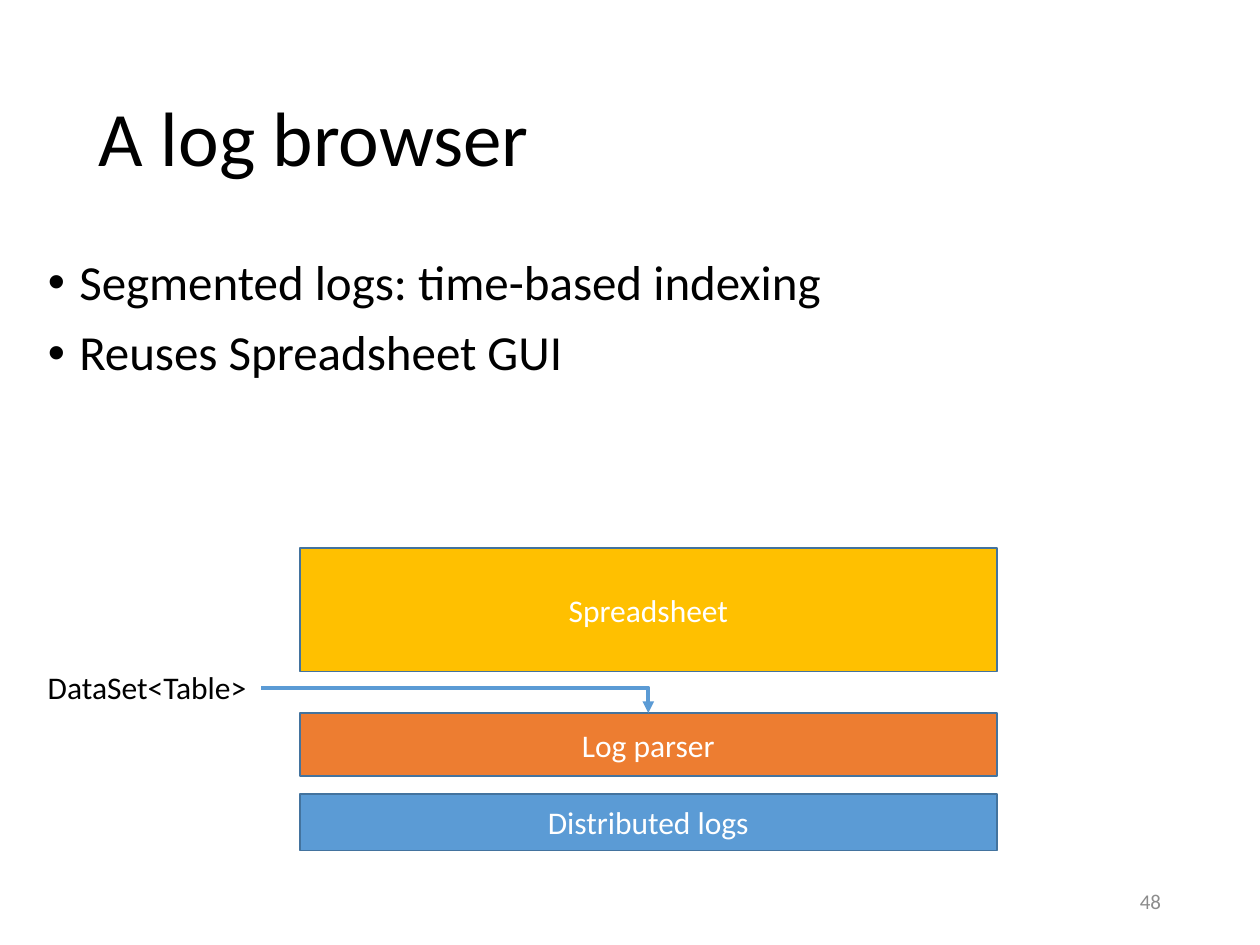
"""Build the log browser slide with its layered architecture diagram."""
from dataclasses import dataclass

from lxml import etree
from pptx import Presentation
from pptx.dml.color import RGBColor
from pptx.enum.shapes import MSO_CONNECTOR, MSO_SHAPE
from pptx.enum.text import MSO_ANCHOR, MSO_AUTO_SIZE, PP_ALIGN
from pptx.oxml.ns import qn
from pptx.shapes.autoshape import Shape
from pptx.slide import Slide
from pptx.util import Pt

ELBOW = MSO_CONNECTOR.ELBOW
RECTANGLE = MSO_SHAPE.RECTANGLE
TOP, MIDDLE = MSO_ANCHOR.TOP, MSO_ANCHOR.MIDDLE
FIT_SHAPE = MSO_AUTO_SIZE.SHAPE_TO_FIT_TEXT
LEFT, CENTER, RIGHT = PP_ALIGN.LEFT, PP_ALIGN.CENTER, PP_ALIGN.RIGHT


@dataclass(frozen=True)
class Theme:
    font: str = "Calibri"
    text: str = "000000"
    inverse: str = "FFFFFF"
    muted: str = "8C8C8C"
    blue: str = "5B9BD5"
    orange: str = "ED7D31"
    gold: str = "FFC000"
    outline: str = "43739E"
    title_size: float = 44
    body_size: float = 28
    label_size: float = 18
    number_size: float = 12


@dataclass(frozen=True)
class Box:
    left: float
    top: float
    width: float
    height: float


@dataclass(frozen=True)
class Layer:
    label: str
    top: float
    height: float
    fill: str


THEME = Theme()
LAYER_LEFT, LAYER_WIDTH = 171.4, 398.2
LAYERS = (
    Layer("Distributed logs", 453.6, 32.4, THEME.blue),
    Layer("Log parser", 407.5, 36, THEME.orange),
    Layer("Spreadsheet", 313.2, 70.6, THEME.gold),
)
BULLETS = ("Segmented logs: time-based indexing", "Reuses Spreadsheet GUI")
BULLET_INDENT = 18


def set_text(s: Shape, text: str, size: float, color: str,
             align: PP_ALIGN = LEFT, anchor: MSO_ANCHOR = MIDDLE) -> None:
    tf = s.text_frame
    tf.text = text
    tf.word_wrap = True
    tf.vertical_anchor = anchor
    for p in tf.paragraphs:
        p.alignment = align
        for r in p.runs:
            r.font.name = THEME.font
            r.font.size = Pt(size)
            r.font.color.rgb = RGBColor.from_string(color)


def add_text(slide: Slide, box: Box, text: str, size: float, color: str = THEME.text,
             align: PP_ALIGN = LEFT, anchor: MSO_ANCHOR = MIDDLE) -> Shape:
    s = slide.shapes.add_textbox(Pt(box.left), Pt(box.top), Pt(box.width), Pt(box.height))
    set_text(s, text, size, color, align, anchor)
    return s


def add_bullets(slide: Slide, box: Box, items: tuple[str, ...]) -> None:
    s = add_text(slide, box, "\n".join(items), THEME.body_size, anchor=TOP)
    for i, p in enumerate(s.text_frame.paragraphs):
        p.line_spacing = 0.9
        p.space_before = Pt(10 if i else 0)
        props = p._p.get_or_add_pPr()
        props.set("marL", str(Pt(BULLET_INDENT)))
        props.set("indent", str(-Pt(BULLET_INDENT)))
        etree.SubElement(props, qn("a:buFont")).set("typeface", "Arial")
        etree.SubElement(props, qn("a:buChar")).set("char", "•")


def add_layer(slide: Slide, layer: Layer) -> None:
    s = slide.shapes.add_shape(RECTANGLE, Pt(LAYER_LEFT), Pt(layer.top),
                               Pt(LAYER_WIDTH), Pt(layer.height))
    s.shadow.inherit = False
    s.fill.solid()
    s.fill.fore_color.rgb = RGBColor.from_string(layer.fill)
    s.line.color.rgb = RGBColor.from_string(THEME.outline)
    s.line.width = Pt(1)
    set_text(s, layer.label, THEME.label_size, THEME.inverse, CENTER)


def add_elbow_arrow(slide: Slide, x1: float, y1: float, x2: float, y2: float) -> None:
    s = slide.shapes.add_connector(ELBOW, Pt(x1), Pt(y1), Pt(x2), Pt(y2))
    s.line.color.rgb = RGBColor.from_string(THEME.blue)
    s.line.width = Pt(2.25)
    props = s._element.spPr
    props.find(qn("a:prstGeom")).set("prst", "bentConnector2")
    etree.SubElement(props.find(qn("a:ln")), qn("a:tailEnd")).set("type", "triangle")
    etree.SubElement(props, qn("a:effectLst"))


def main() -> None:
    prs = Presentation()
    prs.slide_width, prs.slide_height = Pt(720), Pt(540)
    slide = prs.slides.add_slide(prs.slide_layouts[6])

    title = add_text(slide, Box(49.5, 28.8, 621, 104.4), "A log browser", THEME.title_size)
    title.text_frame.paragraphs[0].line_spacing = 0.9
    add_bullets(slide, Box(20.2, 144, 689.8, 342.7), BULLETS)
    add_text(slide, Box(508.5, 500.5, 162, 28.8), "48", THEME.number_size, THEME.muted, RIGHT)

    for layer in LAYERS:
        add_layer(slide, layer)

    label = Box(20.2, 378.4, 129.2, 29.1)
    parser = LAYERS[1]
    add_elbow_arrow(slide, label.left + label.width, label.top + label.height / 2,
                    LAYER_LEFT + LAYER_WIDTH / 2, parser.top)
    s = add_text(slide, label, "DataSet<Table>", THEME.label_size, anchor=TOP)
    s.text_frame.word_wrap = False
    s.text_frame.auto_size = FIT_SHAPE

    prs.save("out.pptx")


if __name__ == "__main__":
    main()
